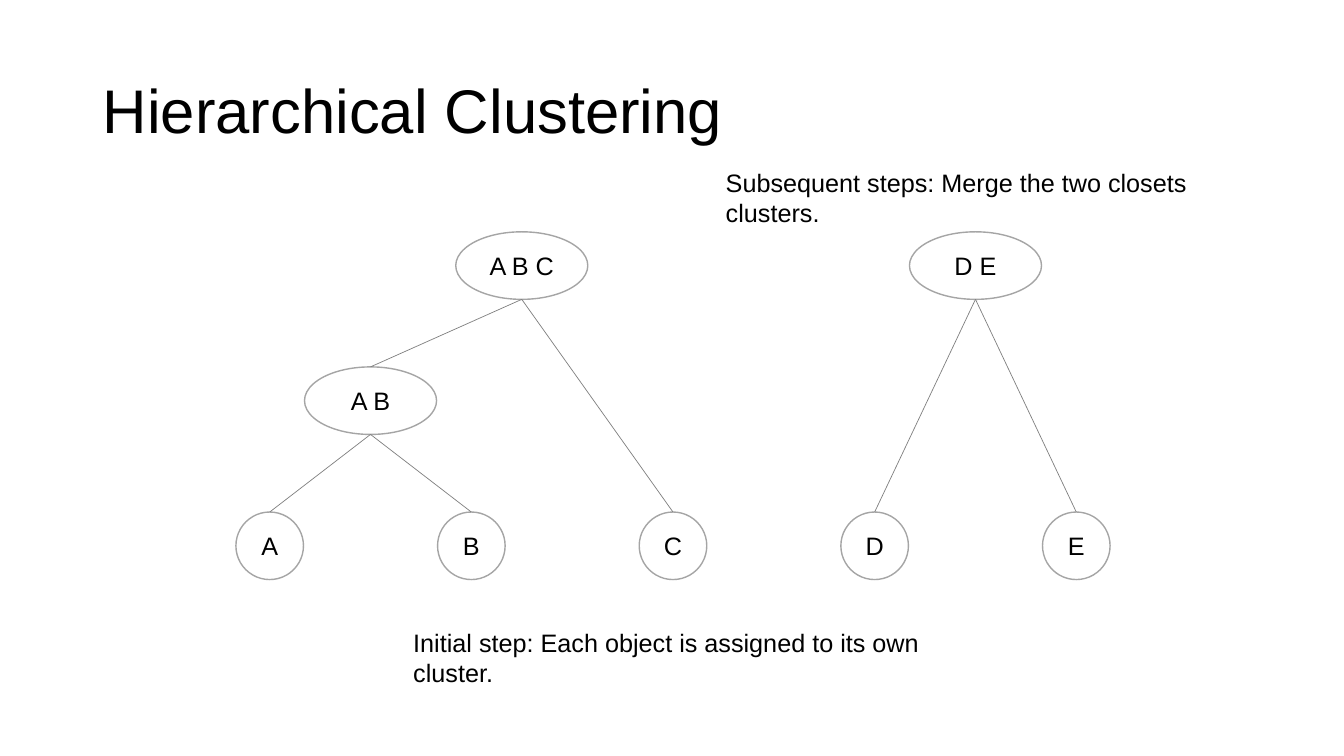
import pptx
import pptx.dml.color
import pptx.enum.shapes
import pptx.enum.text
import pptx.util
import lxml.etree

Inches = pptx.util.Inches
NODE_HEIGHT = 0.67
MERGED_WIDTH = 1.31
LEAF_PITCH = 2
MERGES = [("A B", "A", "B", 1.34), ("A B C", "A B", "C", 0), ("D E", "D", "E", 0)]


def color(value):
    """Turn a hex string into a colour."""
    return pptx.dml.color.RGBColor.from_string(value)


def write(shape, text, size=18, align="LEFT", anchor="TOP", spacing=1.0, margins=(0.1, 0.05)):
    """Put formatted text into a shape."""
    frame = shape.text_frame
    frame.word_wrap = True
    frame.vertical_anchor = getattr(pptx.enum.text.MSO_ANCHOR, anchor)
    frame.margin_left = frame.margin_right = Inches(margins[0])
    frame.margin_top = frame.margin_bottom = Inches(margins[1])
    paragraph = frame.paragraphs[0]
    paragraph.text = text
    paragraph.alignment = getattr(pptx.enum.text.PP_ALIGN, align)
    paragraph.line_spacing = spacing
    paragraph.font.name = "Arial"
    paragraph.font.size = pptx.util.Pt(size)
    paragraph.font.color.rgb = color("000000")


def add_text(slide, box, text, **text_format):
    """Add a text box that fills the given box."""
    write(slide.shapes.add_textbox(*map(Inches, box)), text, **text_format)


def add_node(slide, center, top, width, label):
    """Add one cluster ellipse centred on a horizontal position."""
    node = slide.shapes.add_shape(
        pptx.enum.shapes.MSO_SHAPE.OVAL,
        *map(Inches, (center - width / 2, top, width, NODE_HEIGHT)))
    node.shadow.inherit = False
    node.fill.solid()
    node.fill.fore_color.rgb = color("FFFFFF")
    node.line.color.rgb = color("A5A5A5")
    node.line.width = pptx.util.Pt(1)
    write(node, label, align="CENTER", anchor="MIDDLE", margins=(0, 0))
    return node


def add_branch(slide, child, center, bottom):
    """Join the top of a child cluster to the bottom of its parent."""
    branch = slide.shapes.add_connector(
        pptx.enum.shapes.MSO_CONNECTOR.STRAIGHT, 0, 0, Inches(center), Inches(bottom))
    branch.begin_connect(child, 0)
    branch.line.color.rgb = color("808080")
    branch.line.width = pptx.util.Pt(0.5)
    lxml.etree.SubElement(branch._element.spPr, pptx.oxml.ns.qn("a:effectLst"))


def add_dendrogram(slide, box):
    """Draw leaves along the bottom of the box and merged clusters above them."""
    left, top, width, height = box
    centers, nodes = {}, {}
    for index, label in enumerate("ABCDE"):
        centers[label] = left + NODE_HEIGHT / 2 + index * LEAF_PITCH
        nodes[label] = add_node(
            slide, centers[label], top + height - NODE_HEIGHT, NODE_HEIGHT, label)
    for label, first, second, offset in MERGES:
        center = centers[label] = (centers[first] + centers[second]) / 2
        nodes[label] = add_node(slide, center, top + offset, MERGED_WIDTH, label)
        for child in (first, second):
            add_branch(slide, nodes[child], center, top + offset + NODE_HEIGHT)


def main():
    """Build and save the slide."""
    presentation = pptx.Presentation()
    presentation.slide_width = Inches(13.33)
    presentation.slide_height = Inches(7.5)
    slide = presentation.slides.add_slide(presentation.slide_layouts[6])
    add_text(slide, (0.92, 0.4, 11.5, 1.45), "Hierarchical Clustering",
             size=44, anchor="MIDDLE", spacing=0.9)
    add_dendrogram(slide, (2.34, 2.3, 8.67, 3.45))
    add_text(slide, (4, 6.17, 5.75, 0.4),
             "Initial step: Each object is assigned to its own cluster.")
    add_text(slide, (7.1, 1.61, 5.56, 0.4),
             "Subsequent steps: Merge the two closets clusters.")
    presentation.save("out.pptx")


if __name__ == "__main__":
    main()
